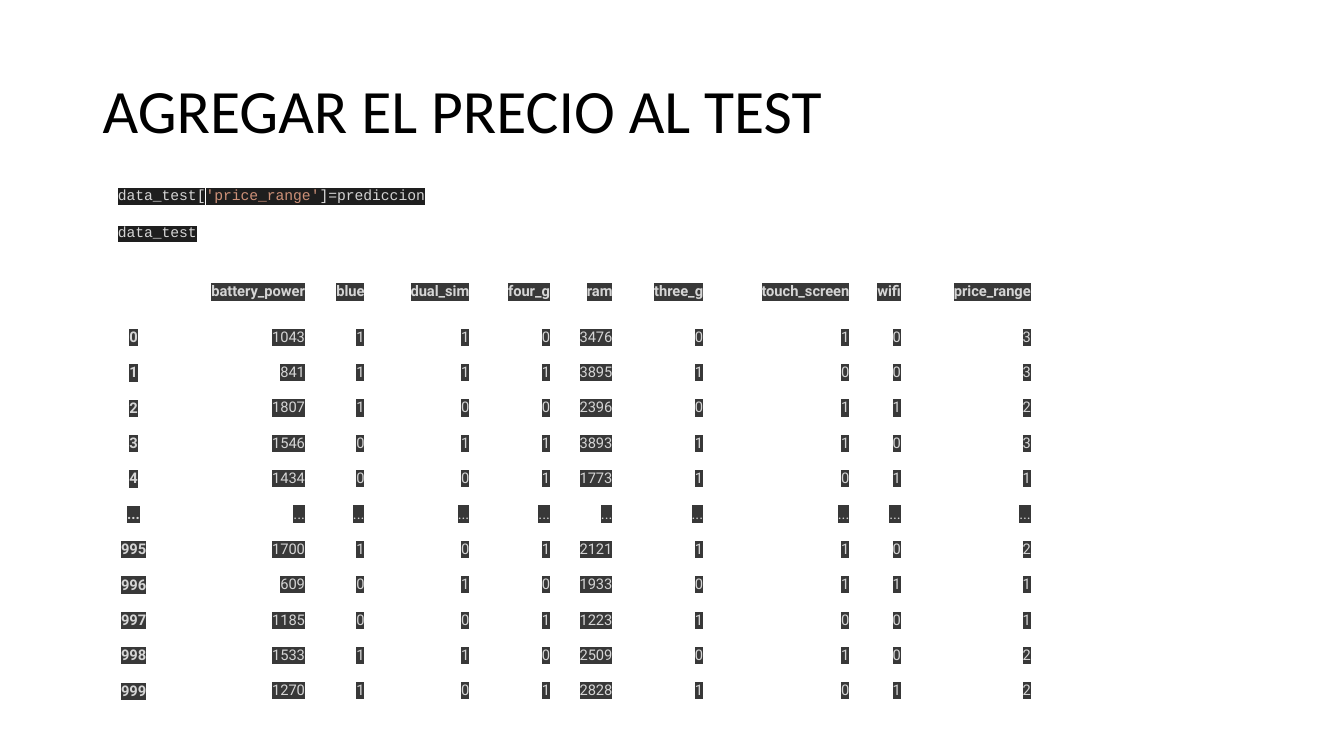
import lxml.etree
import pptx
import pptx.dml.color
import pptx.enum.text
import pptx.oxml.ns
import pptx.util

Inches = pptx.util.Inches
Pt = pptx.util.Pt
RGBColor = pptx.dml.color.RGBColor
Align = pptx.enum.text.PP_ALIGN
Anchor = pptx.enum.text.MSO_ANCHOR
qn = pptx.oxml.ns.qn

BLACK = RGBColor(0x00, 0x00, 0x00)
CODE_BACK = RGBColor(0x1E, 0x1E, 0x1E)
CODE_TEXT = RGBColor(0xD4, 0xD4, 0xD4)
CODE_BRACKET = RGBColor(0xDC, 0xDC, 0xDC)
CODE_STRING = RGBColor(0xCE, 0x91, 0x78)
TABLE_BACK = RGBColor(0x38, 0x38, 0x38)
TABLE_TEXT = RGBColor(0xD5, 0xD5, 0xD5)

NO_TABLE_STYLE = "{2D5ABB26-0587-4C30-8999-92F81FD0307C}"

HEADINGS = ["", "battery_power", "blue", "dual_sim", "four_g", "ram",
            "three_g", "touch_screen", "wifi", "price_range"]
PHONES = [
    "0 1043 1 1 0 3476 0 1 0 3",
    "1 841 1 1 1 3895 1 0 0 3",
    "2 1807 1 0 0 2396 0 1 1 2",
    "3 1546 0 1 1 3893 1 1 0 3",
    "4 1434 0 0 1 1773 1 0 1 1",
    "... ... ... ... ... ... ... ... ... ...",
    "995 1700 1 0 1 2121 1 1 0 2",
    "996 609 0 1 0 1933 0 1 1 1",
    "997 1185 0 0 1 1223 1 0 0 1",
    "998 1533 1 1 0 2509 0 1 0 2",
    "999 1270 1 0 1 2828 1 0 1 2",
]
COLUMN_WIDTHS = [0.51, 1.52, 0.59, 1.04, 0.8, 0.62, 0.9, 1.45, 0.51, 1.29]


class SlideBuilder:
    """Holds the text style and the current slide."""

    title_font, code_font, table_font = "Calibri", "Courier New", "Roboto"
    title_size, small_size = Pt(44), Pt(10.5)
    cell_margin = Pt(5.4)

    def __init__(self, page):
        self.page = page

    def format_span(self, span, font, size, color, back=None, bold=False):
        span.font.name = font
        span.font.size = size
        span.font.bold = bold
        span.font.color.rgb = color
        if back is not None:
            highlight = lxml.etree.Element(qn("a:highlight"))
            lxml.etree.SubElement(highlight, qn("a:srgbClr"), val=str(back))
            span.font.fill  # the highlight belongs right after the text fill
            span.font._element.find(qn("a:solidFill")).addnext(highlight)

    def text_box(self, left, top, width, height, margins, line_spacing):
        box = self.page.shapes.add_textbox(
            Inches(left), Inches(top), Inches(width), Inches(height))
        frame = box.text_frame
        frame.word_wrap = True
        frame.margin_left = frame.margin_right = Inches(margins[0])
        frame.margin_top = frame.margin_bottom = Inches(margins[1])
        frame.paragraphs[0].line_spacing = line_spacing
        return frame

    def title(self, text):
        frame = self.text_box(0.92, 0.4, 11.5, 1.45, (0.1, 0.05), 0.9)
        frame.vertical_anchor = Anchor.MIDDLE
        para = frame.paragraphs[0]
        para.text = text
        self.format_span(para.runs[0], self.title_font, self.title_size, BLACK)

    def code_line(self, top, pieces):
        frame = self.text_box(1.07, top, 3.28, 0.38, (0.1, 0.1), 1.36)
        for text, color in pieces:
            span = frame.paragraphs[0].add_run()
            span.text = text
            self.format_span(span, self.code_font, self.small_size, color, CODE_BACK)

    def cell(self, cell, text, is_heading, is_index):
        # The fill is fully transparent; only the highlight shows
        cell.fill.solid()
        cell.fill.fore_color.rgb = TABLE_BACK
        color = cell._tc.tcPr.find(qn("a:solidFill"))[0]
        lxml.etree.SubElement(color, qn("a:alpha"), val="0")
        cell.margin_left = cell.margin_right = self.cell_margin
        cell.margin_top = cell.margin_bottom = self.cell_margin
        if not text:
            return
        para = cell.text_frame.paragraphs[0]
        para.text = text
        para.line_spacing = 1.15
        para.alignment = Align.RIGHT
        if is_index:
            para.alignment = Align.CENTER
            cell.vertical_anchor = Anchor.MIDDLE
        self.format_span(para.runs[0], self.table_font, self.small_size,
                         TABLE_TEXT, TABLE_BACK, is_heading or is_index)

    def table(self, left, top, widths, rows):
        heights = [0.38] + [0.32] * (len(rows) - 1)
        frame = self.page.shapes.add_table(
            len(rows), len(widths), Inches(left), Inches(top),
            Inches(sum(widths)), Inches(sum(heights)))
        table = frame.table
        table.first_row = table.horz_banding = False
        table._tbl.tblPr.find(qn("a:tableStyleId")).text = NO_TABLE_STYLE
        for column, width in zip(table.columns, widths):
            column.width = Inches(width)
        for row, height in zip(table.rows, heights):
            row.height = Inches(height)
        for row_index, texts in enumerate(rows):
            for column_index, text in enumerate(texts):
                self.cell(table.cell(row_index, column_index), text,
                          row_index == 0, column_index == 0)


def main():
    deck = pptx.Presentation()
    deck.slide_width, deck.slide_height = Inches(13.33), Inches(7.5)
    builder = SlideBuilder(deck.slides.add_slide(deck.slide_layouts[6]))

    # Title
    builder.title("AGREGAR EL PRECIO AL TEST")

    # Code lines
    builder.code_line(1.68, [("data_test", CODE_TEXT), ("[", CODE_BRACKET),
                             ("'price_range'", CODE_STRING), ("]", CODE_BRACKET),
                             ("=prediccion", CODE_TEXT)])
    builder.code_line(2.05, [("data_test", CODE_TEXT)])

    # Table of predicted prices
    builder.table(1.07, 2.71, COLUMN_WIDTHS,
                  [HEADINGS] + [phone.split() for phone in PHONES])

    deck.save("out.pptx")


if __name__ == "__main__":
    main()
